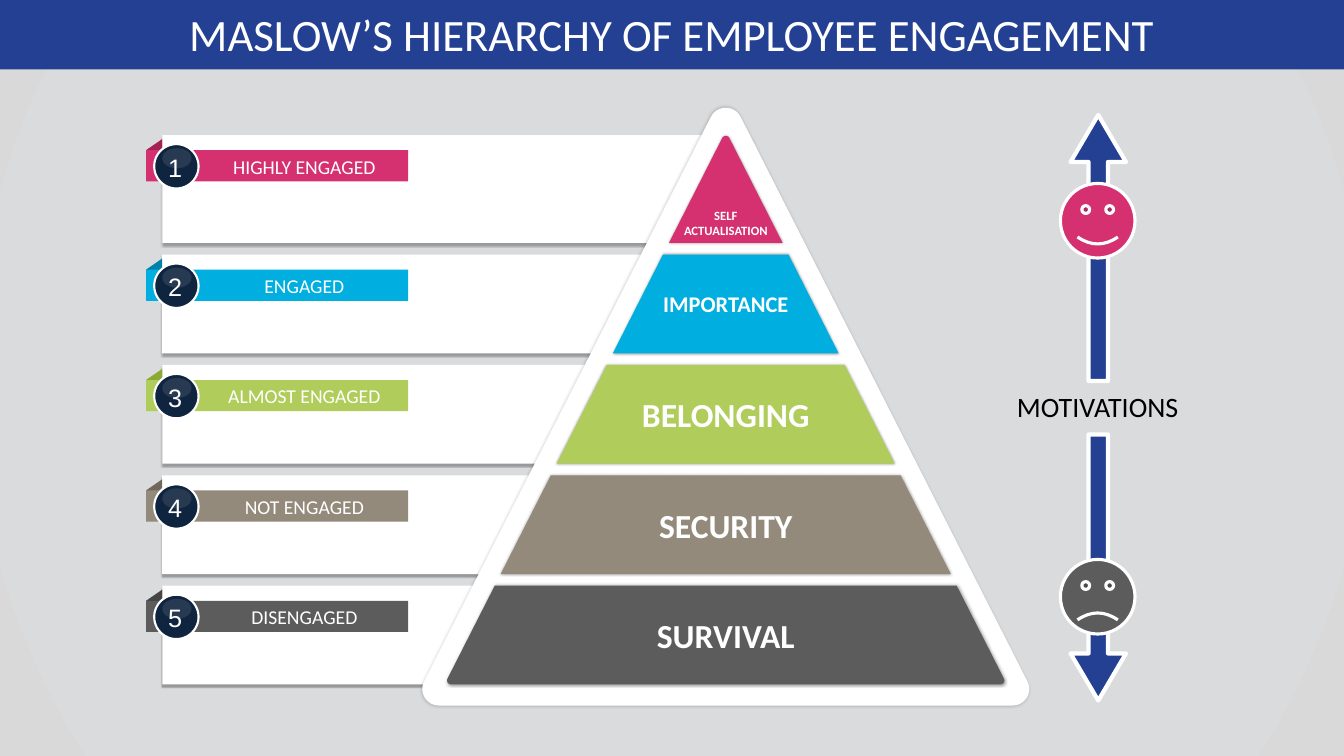
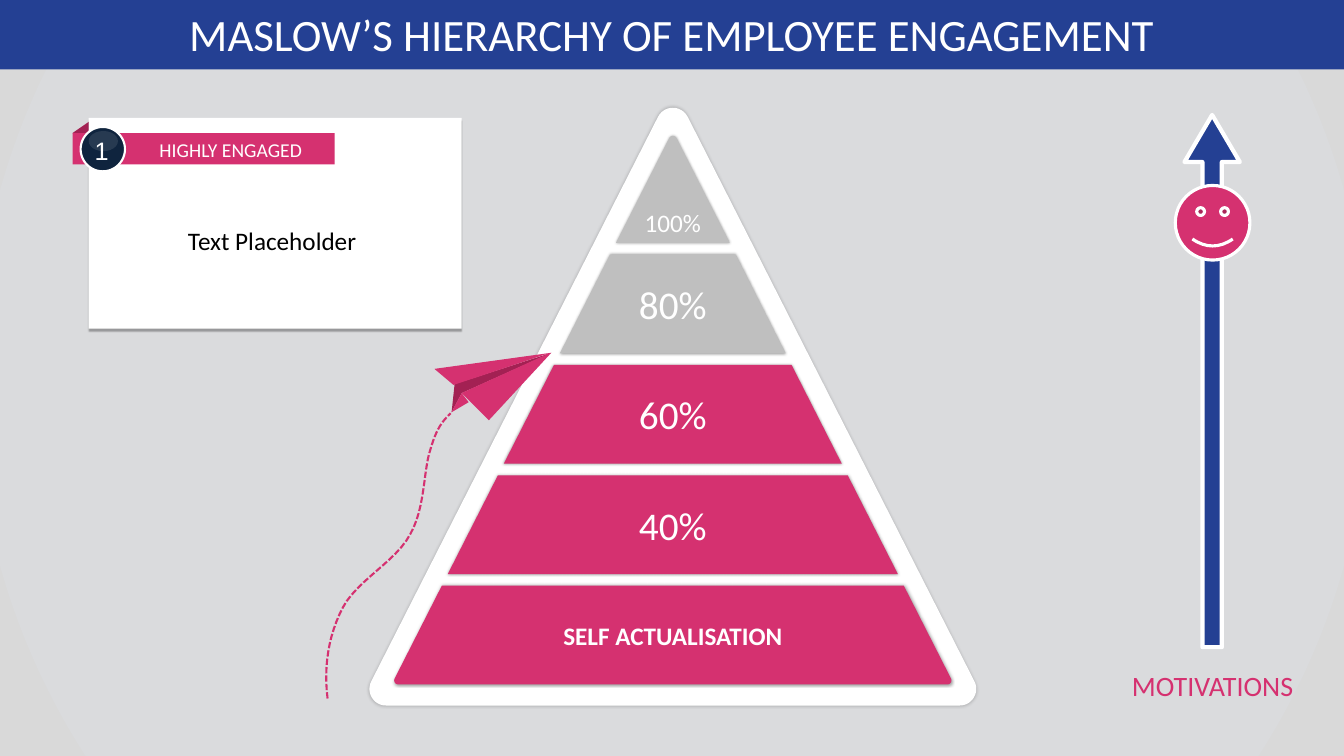
"""Builds two slides on a hierarchy of employee engagement."""
from dataclasses import dataclass
from math import acos, pi, tan

from lxml.etree import SubElement
from pptx import Presentation
from pptx.dml.color import RGBColor
from pptx.enum.dml import MSO_LINE
from pptx.enum.shapes import MSO_SHAPE
from pptx.enum.text import MSO_ANCHOR, MSO_AUTO_SIZE, PP_ALIGN
from pptx.oxml import parse_xml
from pptx.oxml.ns import nsdecls, qn
from pptx.util import Emu, Inches, Pt

COLS, ROWS = 133.33, 75
CELL = Inches(0.1)
TITLE = "MASLOW’S HIERARCHY OF EMPLOYEE ENGAGEMENT"
COLORS = {
    "white": "FFFFFF", "black": "000000", "blue": "244093", "navy": "0F243E",
    "silver": "BFBFBF",
    "pink": "D53170", "pink_dark": "A32153",
    "cyan": "00AEE0", "cyan_dark": "0082A8",
    "green": "B0CC5B", "green_dark": "8CA934",
    "taupe": "938A7B", "taupe_dark": "6F685B",
    "gray": "5C5C5C", "gray_dark": "454545",
}
BACKDROP = [(0, "D9DADC"), (81, "DADBDD"), (100, "D9D9D9")]

SLOPE = 0.508
RING_APEX, RING_BASE, RING_RADIUS = 8.7, 70, 1.65
TIER_APEX, TIER_HEIGHT, TIER_RADIUS = 13, 9.8, 0.4
FIRST_BOTTOM, PITCH = 24.1, 10.95
CARD_LEFT, FIRST_CARD_TOP = 16.1, 13.4

Point = tuple[float, float]


@dataclass(frozen=True)
class Tier:
    """One layer of the pyramid and its caption."""
    text: str
    color: str
    size: int
    width: float
    bold: bool = False
    lines: int = 1
    ribbon: str = ""


@dataclass(frozen=True)
class Shadow:
    """Opacity in percent, blur and distance in points."""
    alpha: int
    blur: int
    distance: int = 0


CARD_SHADOW, RING_SHADOW, TIER_SHADOW = Shadow(30, 1, 2), Shadow(20, 2), Shadow(40, 2)

LEVELS = [
    Tier("SELF ACTUALISATION", "pink", 9, 12.5, True, 2, "HIGHLY ENGAGED"),
    Tier("IMPORTANCE", "cyan", 16, 16.7, True, 1, "ENGAGED"),
    Tier("BELONGING", "green", 24, 22.4, True, 1, "ALMOST ENGAGED"),
    Tier("SECURITY", "taupe", 24, 35, True, 1, "NOT ENGAGED"),
    Tier("SURVIVAL", "gray", 24, 45.8, True, 1, "DISENGAGED"),
]
PROGRESS = [
    Tier("100%", "silver", 18, 13.3),
    Tier("80%", "silver", 28, 13.3),
    Tier("60%", "pink", 28, 13.3),
    Tier("40%", "pink", 28, 13.3),
    Tier("SELF ACTUALISATION", "pink", 18, 44.7, True),
]
PLANE = [
    ("pink_dark", [(45.1, 38.1), (44.8, 40.9), (45.8, 39), (54.7, 35)]),
    ("pink", [(45.8, 39), (44.8, 40.9), (46.5, 39.9)]),
    ("pink", [(43.1, 36.6), (54.7, 35), (48.5, 41.7), (45.8, 39), (54.6, 35),
              (45, 38.2)]),
]
TRAIL = [
    ((32.5, 69.3), (32.1, 66.1), (32.6, 63), (34, 60.3)),
    ((34, 60.3), (35.4, 57.6), (39.3, 55.7), (40.7, 53)),
    ((40.7, 53), (42.2, 50.4), (42, 46.6), (42.7, 44.6)),
    ((42.7, 44.6), (43.3, 42.5), (43.9, 41.8), (44.7, 41)),
]


def cells(n: float) -> Emu:
    """Turn grid cells into a length."""
    return Emu(round(n * CELL))


def rgb(color: str) -> RGBColor:
    """Look up a named colour."""
    return RGBColor.from_string(COLORS[color])


def bezier(a: Point, b: Point, c: Point, d: Point, steps: int = 12) -> list[Point]:
    """Sample a cubic curve."""
    ts = [i / steps for i in range(steps + 1)]
    return [tuple((1 - t) ** 3 * p + 3 * t * (1 - t) ** 2 * q
                  + 3 * t * t * (1 - t) * r + t ** 3 * s
                  for p, q, r, s in zip(a, b, c, d)) for t in ts]


def rounded(corners: list[Point], radii: list[float]) -> list[Point]:
    """Round each corner of a polygon by its radius."""
    points = []
    for i, (corner, radius) in enumerate(zip(corners, radii)):
        if not radius:
            points.append(corner)
            continue
        p = complex(*corner)
        u, v = (complex(*q) - p for q in (corners[i - 1], corners[(i + 1) % len(corners)]))
        u, v = u / abs(u), v / abs(v)
        half = acos((u * v.conjugate()).real) / 2
        reach = radius / tan(half)
        inner = reach - 4 / 3 * tan(pi / 4 - half / 2) * radius
        curve = (p + u * reach, p + u * inner, p + v * inner, p + v * reach)
        points += bezier(*((z.real, z.imag) for z in curve))
    return points


def style(sp, *, fill: str | None = None, line: str | None = None, weight: float = 1,
          alpha: int | None = None, shadow: Shadow | None = None):
    """Set fill, line and shadow of a shape."""
    sp.shadow.inherit = False
    if fill:
        sp.fill.solid()
        sp.fill.fore_color.rgb = rgb(fill)
        if alpha is not None:
            clr = sp._element.spPr.find(qn("a:solidFill"))[0]
            SubElement(clr, qn("a:alpha"), val=str(alpha * 1000))
    else:
        sp.fill.background()
    if line:
        sp.line.color.rgb = rgb(line)
        sp.line.width = Pt(weight)
    else:
        sp.line.fill.background()
    if shadow:
        effects = sp._element.spPr.find(qn("a:effectLst"))
        outer = SubElement(effects, qn("a:outerShdw"), blurRad=str(Pt(shadow.blur)),
                           dist=str(Pt(shadow.distance)), dir="5400000",
                           algn="ctr", rotWithShape="0")
        clr = SubElement(outer, qn("a:srgbClr"), val=COLORS["black"])
        SubElement(clr, qn("a:alpha"), val=str(shadow.alpha * 1000))
    return sp


def preset(shapes, kind: MSO_SHAPE, x: float, y: float, w: float, h: float, **look):
    """Add a preset shape."""
    return style(shapes.add_shape(kind, cells(x), cells(y), cells(w), cells(h)), **look)


def outline(shapes, points: list[Point], closed: bool = True, **look):
    """Add a freeform through the points."""
    start, *rest = [(cells(x), cells(y)) for x, y in points]
    builder = shapes.build_freeform(*start)
    builder.add_line_segments(rest, close=closed)
    return style(builder.convert_to_shape(), **look)


def put_text(tf, text: str, *, size: int, color: str = "white", bold: bool = False,
             font: str = "Calibri", align: PP_ALIGN = PP_ALIGN.CENTER) -> None:
    """Fill a text frame with one formatted paragraph."""
    tf.word_wrap = True
    tf.auto_size = MSO_AUTO_SIZE.NONE
    tf.vertical_anchor = MSO_ANCHOR.MIDDLE
    p = tf.paragraphs[0]
    p.alignment = align
    r = p.add_run()
    r.text = text
    r.font.name, r.font.size, r.font.bold = font, Pt(size), bold
    r.font.color.rgb = rgb(color)


def label(shapes, text: str, x: float, mid: float, w: float, *, size: int,
          lines: int = 1, **look) -> None:
    """Add a text box centred on a height."""
    h = lines * size / 6 + 1
    box = shapes.add_textbox(cells(x), cells(mid - h / 2), cells(w), cells(h))
    put_text(box.text_frame, text, size=size, **look)


def set_backdrop(layout) -> None:
    """Give the layout its radial background."""
    layout.background.fill.solid()
    bg = layout._element.find(".//" + qn("p:bgPr"))
    stops = "".join(f'<a:gs pos="{pos * 1000}"><a:srgbClr val="{val}"/></a:gs>'
                    for pos, val in BACKDROP)
    bg.replace(bg[0], parse_xml(
        f'<a:gradFill {nsdecls("a")} rotWithShape="1"><a:gsLst>{stops}</a:gsLst>'
        '<a:path path="circle"><a:fillToRect l="50000" t="50000" r="50000" b="50000"/>'
        '</a:path></a:gradFill>'))


def add_slide(prs):
    """Add a slide with the title band."""
    s = prs.slides.add_slide(prs.slide_layouts[5])
    sp = s.shapes.title
    sp.left, sp.top, sp.width, sp.height = map(cells, (0, -0.2, COLS, 7.1))
    style(sp, fill="blue")
    put_text(sp.text_frame, TITLE, size=32)
    return s


def edges(cx: float, apex: float, y: float) -> list[Point]:
    """Give the left and right point of a pyramid at a height."""
    half = SLOPE * (y - apex)
    return [(cx - half, y), (cx + half, y)]


def bottom(i: int) -> float:
    """Give the lower edge of a tier."""
    return FIRST_BOTTOM + i * PITCH


def pyramid(shapes, cx: float, tiers: list[Tier]) -> None:
    """Draw the white ring, the tiers and their captions."""
    left, right = edges(cx, RING_APEX, RING_BASE)
    outline(shapes, rounded([(cx, RING_APEX), right, left], [RING_RADIUS] * 3),
            fill="white", shadow=RING_SHADOW)
    for i, tier in enumerate(tiers):
        low = bottom(i)
        left, right = edges(cx, TIER_APEX, low)
        upper = edges(cx, TIER_APEX, low - TIER_HEIGHT) if i else [(cx, TIER_APEX)]
        tip = 0 if i else TIER_RADIUS
        base = TIER_RADIUS if i == len(tiers) - 1 else 0
        outline(shapes, rounded([*upper, right, left], [tip] * len(upper) + [base] * 2),
                fill=tier.color, shadow=TIER_SHADOW)
        mid = low - TIER_HEIGHT / 2 if i else low - 2
        label(shapes, tier.text, cx - tier.width / 2, mid, tier.width,
              size=tier.size, bold=tier.bold, lines=tier.lines)


def card(shapes, x: float, y: float, w: float, h: float) -> None:
    """Draw a white card."""
    preset(shapes, MSO_SHAPE.RECTANGLE, x, y, w, h, fill="white", shadow=CARD_SHADOW)


def ribbon(shapes, x: float, card_top: float, number: int, tier: Tier) -> None:
    """Draw a numbered ribbon folded over a card's left edge."""
    g = shapes.add_group_shape().shapes
    y = card_top + 1.5
    outline(g, [(x - 1.6, y), (x, y - 1.1), (x, y + 1.9)], fill=f"{tier.color}_dark")
    preset(g, MSO_SHAPE.RECTANGLE, x - 1.6, y, 26, 3.1, fill=tier.color)
    preset(g, MSO_SHAPE.OVAL, x - 0.8, y - 0.6, 4.4, 4.4, fill="navy",
           line="white", weight=1.5)
    preset(g, MSO_SHAPE.OVAL, x, y - 0.2, 2.9, 2, fill="white", alpha=10)
    label(g, str(number), x - 0.4, y + 1.7, 3.3, size=18, font="Arial",
          align=PP_ALIGN.LEFT)
    label(g, tier.ribbon, x + 3.8, y + 1.6, 20.6, size=14)


def arrow(shapes, x: float, y: float, h: float, rotation: int = 0) -> None:
    """Draw a vertical motivation arrow."""
    sp = preset(shapes, MSO_SHAPE.UP_ARROW, x, y, 5.5, h, fill="blue", line="white", weight=3)
    sp.adjustments[0], sp.adjustments[1] = 0.35, 0.85
    sp.rotation = rotation


def face(shapes, x: float, y: float, color: str, mouth: float = 0.05) -> None:
    """Draw a face whose mouth shows the mood."""
    sp = preset(shapes, MSO_SHAPE.SMILEY_FACE, x, y, 7.4, 7.4, fill=color,
                line="white", weight=2.25)
    sp.adjustments[0] = mouth


def levels_slide(prs) -> None:
    """Build the slide with all five levels."""
    shapes, cx = add_slide(prs).shapes, 72
    tops = [bottom(i) - TIER_HEIGHT if i else FIRST_CARD_TOP for i in range(len(LEVELS))]
    for i, top in enumerate(tops):
        right = edges(cx, TIER_APEX, top)[0][0]
        card(shapes, CARD_LEFT, top, right - CARD_LEFT, bottom(i) - top)
    pyramid(shapes, cx, LEVELS)
    arrow(shapes, 106.2, 11.4, 26.4)
    arrow(shapes, 106.2, 43.1, 26.4, 180)
    face(shapes, 105.2, 18.2, "pink")
    face(shapes, 105.2, 55.5, "gray", -0.05)
    label(shapes, "MOTIVATIONS", 98.9, 40.3, 20, size=20, color="black")
    for i, (top, tier) in enumerate(zip(tops, LEVELS)):
        ribbon(shapes, CARD_LEFT, top, i + 1, tier)


def progress_slide(prs) -> None:
    """Build the slide on progress through the top level."""
    shapes = add_slide(prs).shapes
    pyramid(shapes, 66.75, PROGRESS)
    plane = shapes.add_group_shape().shapes
    for color, points in PLANE:
        outline(plane, points, fill=color)
    trail = outline(shapes, [p for part in TRAIL for p in bezier(*part)], False,
                    line="pink", weight=1.5)
    trail.line.dash_style = MSO_LINE.SQUARE_DOT
    arrow(shapes, 117.5, 11.4, 52.8)
    face(shapes, 116.6, 18.4, "pink")
    label(shapes, "MOTIVATIONS", 110.3, 68, 20, size=20, color="pink")
    card(shapes, 8.8, 11.7, 37, 20.9)
    ribbon(shapes, 8.8, 11.7, 1, LEVELS[0])
    label(shapes, "Text Placeholder", 8.5, 23.9, 37, size=18, color="black")


def main() -> None:
    """Build and save the presentation."""
    prs = Presentation()
    prs.slide_width, prs.slide_height = cells(COLS), cells(ROWS)
    set_backdrop(prs.slide_layouts[5])
    levels_slide(prs)
    progress_slide(prs)
    prs.save("out.pptx")


if __name__ == "__main__":
    main()
